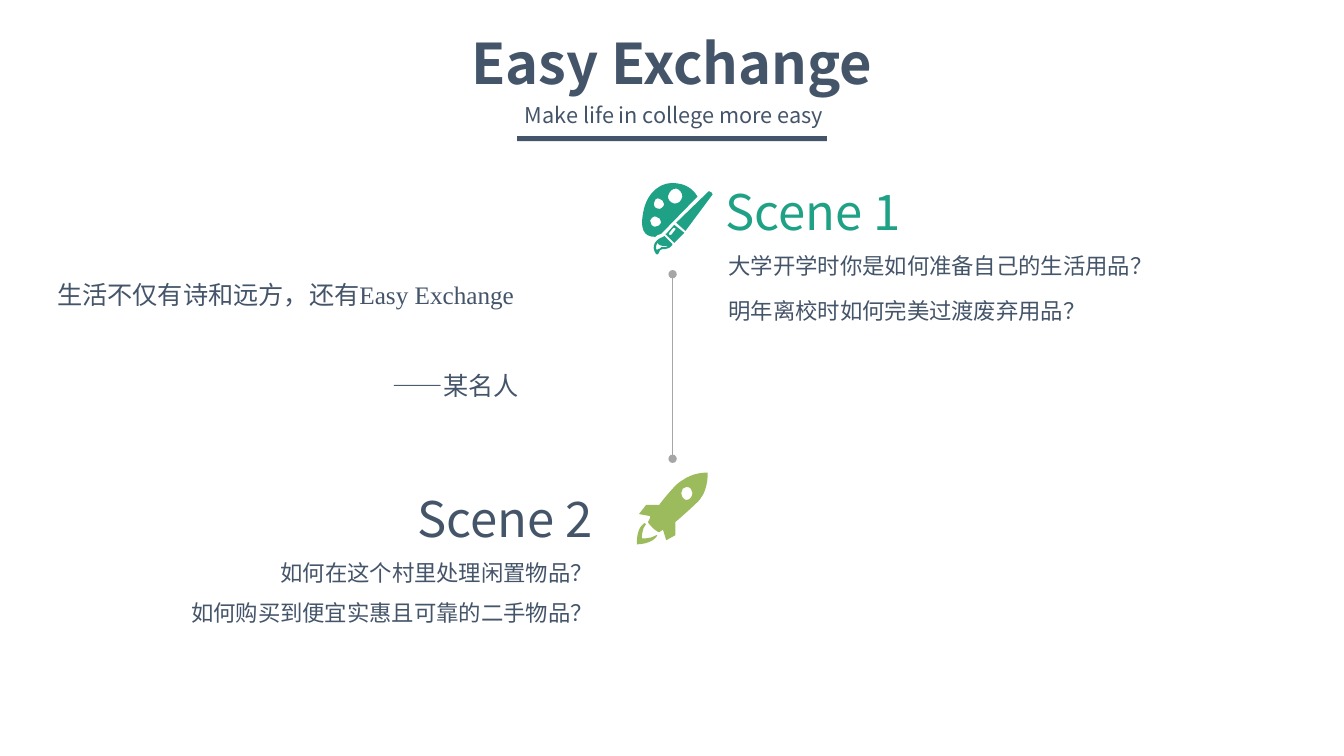
from lxml import etree
from pptx import Presentation
from pptx import util as u
from pptx.dml.color import RGBColor
from pptx.enum import shapes, text
from pptx.oxml import ns

SLATE, GREEN, LIME, GREY = "445469", "1EA185", "9BBB5C", "A6A6A6"
SANS = "Noto Sans CJK SC"
LEFT, CENTER, RIGHT = text.PP_ALIGN.LEFT, text.PP_ALIGN.CENTER, text.PP_ALIGN.RIGHT
TOP, MIDDLE = text.MSO_ANCHOR.TOP, text.MSO_ANCHOR.MIDDLE
ICON_UNIT = u.Cm(0.0254)

presentation = Presentation()
presentation.slide_width, presentation.slide_height = u.Cm(33.87), u.Cm(19.05)
slide = presentation.slides.add_slide(presentation.slide_layouts[6])


def add_text(box, lines, size, colour=SLATE, font=SANS, align=LEFT, anchor=TOP,
             spacing=1.0, gap=0, insets=(0.25, 0.13)):
    """Add a text box; each line is a list of runs, and gap is the space between lines."""
    frame = slide.shapes.add_textbox(*map(u.Cm, box)).text_frame
    frame.word_wrap = True
    frame.vertical_anchor = anchor
    frame.margin_left = frame.margin_right = u.Cm(insets[0])
    frame.margin_top = frame.margin_bottom = u.Cm(insets[1])
    for index, line in enumerate(lines):
        paragraph = frame.add_paragraph() if index else frame.paragraphs[0]
        paragraph.alignment = align
        paragraph.line_spacing = spacing
        if index:
            paragraph.space_before = u.Pt(gap)
        for words in line:
            run = paragraph.add_run()
            run.text = words
            run.font.size = u.Pt(size)
            run.font.color.rgb = RGBColor.from_string(colour)
            run.font.name = font
            etree.SubElement(run.font._element, ns.qn("a:ea"), typeface=SANS)
    return frame


def add_icon_part(contours, colour):
    """Draw contours whose steps are lines (x, y) or cubic curves (x1, y1, x2, y2, x, y)."""
    builder = slide.shapes.build_freeform(*contours[0][0], scale=float(ICON_UNIT))
    for index, (start, *steps) in enumerate(contours):
        if index:
            builder.move_to(*start)
        builder.add_line_segments(
            [step[i:i + 2] for step in steps for i in range(0, len(step), 2)], close=True)
    shape = builder.convert_to_shape()
    segments = iter(list(shape._element.iter(ns.qn("a:lnTo"))))
    for step in (step for contour in contours for step in contour[1:]):
        parts = [next(segments) for _ in range(len(step) // 2)]
        if len(parts) == 3:
            curve = etree.Element(ns.qn("a:cubicBezTo"))
            parts[0].addprevious(curve)
            for part in parts:
                curve.append(part[0])
                part.getparent().remove(part)
    shape.shadow.inherit = False
    shape.fill.solid()
    shape.fill.fore_color.rgb = RGBColor.from_string(colour)
    shape.line.fill.background()


# Scene texts
add_text((18.11, 5.89, 11.96, 2.72),
         [["大学开学时你是如何准备自己的生活用品？"], ["明年离校时如何完美过渡废弃用品？"]],
         16, font="Arial", spacing=1.5, gap=3.5)
add_text((18.03, 4.5, 10.67, 1.63), [["Scene 1"]], 35, GREEN, anchor=MIDDLE)
add_text((4.53, 13.61, 10.67, 3.2),
         [["如何在这个村里处理闲置物品？"], ["如何购买到便宜实惠且可靠的二手物品？"]],
         16, font="Arial", align=RIGHT, spacing=1.5)
add_text((4.53, 12.24, 10.67, 1.63), [["Scene 2"]], 35, align=RIGHT, anchor=MIDDLE)

# Palette and brush icon
palette = [
    [(692, 195), (688, 188, 681, 183, 672, 182), (656, 179, 643, 191, 639, 207),
     (634, 228, 639, 235, 650, 235), (651, 234, 654, 232, 656, 232)],
    [(663, 194), (664, 190, 667, 187, 671, 187), (675, 188, 677, 192, 677, 195),
     (676, 200, 673, 202, 669, 202), (665, 201, 662, 198, 663, 194)],
    [(649, 201), (649, 199, 651, 196, 654, 197), (657, 198, 659, 200, 659, 203),
     (658, 206, 655, 208, 653, 207), (650, 207, 648, 204, 649, 201)],
    [(650, 225), (647, 225, 645, 222, 645, 219), (646, 216, 649, 214, 651, 215),
     (654, 215, 656, 218, 656, 221), (655, 223, 653, 225, 650, 225)],
]
brush_handle = [
    [(680, 229), (681, 228), (707, 193), (707, 193, 707, 192, 706, 191),
     (704, 189, 703, 190, 703, 190), (672, 220), (671, 221)],
]
brush_ferrule = [
    [(669, 241), (670, 240), (679, 231), (669, 223), (661, 232), (660, 232)],
    [(664, 231), (668, 226), (669, 226, 669, 226, 670, 226), (670, 228), (666, 233),
     (665, 233), (664, 233), (664, 232)],
]
brush_tip = [
    [(667, 243), (667, 242), (659, 234), (659, 234, 658, 234, 658, 235),
     (651, 237, 645, 244, 651, 252), (652, 252, 652, 253, 653, 252),
     (654, 251, 654, 249, 655, 248), (657, 246, 663, 249, 667, 243)],
    [(659, 245), (657, 245, 655, 245, 654, 247), (653, 247),
     (653, 248, 652, 248, 652, 248), (651, 247), (651, 246, 651, 245, 651, 244),
     (651, 242, 652, 242, 652, 241), (654, 243, 655, 244, 658, 244),
     (660, 244, 661, 244, 663, 244), (661, 245, 660, 245, 659, 245)],
]
for icon_part in (palette, brush_handle, brush_ferrule, brush_tip):
    add_icon_part(icon_part, GREEN)

# Timeline
timeline = slide.shapes.add_connector(
    shapes.MSO_CONNECTOR.STRAIGHT, u.Cm(16.95), u.Cm(6.91), u.Cm(16.95), u.Cm(11.56))
timeline.line.width = u.Pt(0.5)
timeline.line.color.rgb = RGBColor.from_string(GREY)
for end in ("a:headEnd", "a:tailEnd"):
    etree.SubElement(timeline.line._get_or_add_ln(), ns.qn(end), type="oval")
etree.SubElement(timeline._element.spPr, ns.qn("a:effectLst"))

# Rocket icon
rocket = [
    [(702, 469), (702, 469, 692, 468, 681, 474), (678, 476, 674, 478, 671, 481),
     (667, 485, 659, 494, 654, 501), (641, 501), (634, 510), (645, 512),
     (645, 513, 645, 514, 645, 514), (643, 518), (643, 518, 643, 519, 647, 523),
     (652, 528, 654, 528, 654, 528), (657, 526), (658, 526), (661, 536), (670, 531),
     (670, 518), (677, 512, 686, 504, 690, 500), (694, 497, 696, 493, 698, 490),
     (703, 479, 702, 469, 702, 469)],
    [(681, 496), (678, 496, 676, 492, 676, 489), (676, 486, 678, 483, 681, 483),
     (685, 483, 687, 486, 687, 489), (687, 492, 685, 496, 681, 496)],
    [(651, 531), (652, 531), (652, 532, 651, 533, 650, 534),
     (644, 540, 632, 540, 632, 540), (632, 540, 631, 527, 637, 521),
     (638, 520, 639, 520, 639, 519), (640, 520, 640, 520, 641, 520),
     (636, 526, 637, 534, 637, 534), (637, 534, 645, 535, 651, 531)],
]
add_icon_part(rocket, LIME)

# Title block
title = add_text((2.39, 0.68, 29.08, 1.83), [["Easy Exchange"]], 40, align=CENTER,
                 insets=(0.13, 0.05))
title.paragraphs[0].runs[0].font.bold = True
underline = slide.shapes.add_shape(
    shapes.MSO_SHAPE.RECTANGLE, u.Cm(13.03), u.Cm(3.43), u.Cm(7.81), u.Cm(0.13))
underline.shadow.inherit = False
underline.fill.solid()
underline.fill.fore_color.rgb = RGBColor.from_string(SLATE)
underline.line.fill.background()
add_text((3.28, 2.28, 27.41, 1.17), [["Make life in college more easy"]], 15.5, align=CENTER,
         spacing=1.2, insets=(0.3, 0.15))

# Quote
quote = add_text((1.19, 6.91, 12.62, 4.11),
                 [["生活不仅有诗和远方，还有", "Easy Exchange"], ["——某名人"]],
                 18, font="Times New Roman", gap=43.5)
saying, author = quote.paragraphs
saying.runs[0].font.name = SANS
author.alignment = CENTER
author._p.get_or_add_pPr().set("marL", str(u.Cm(7.97)))

presentation.save("out.pptx")
